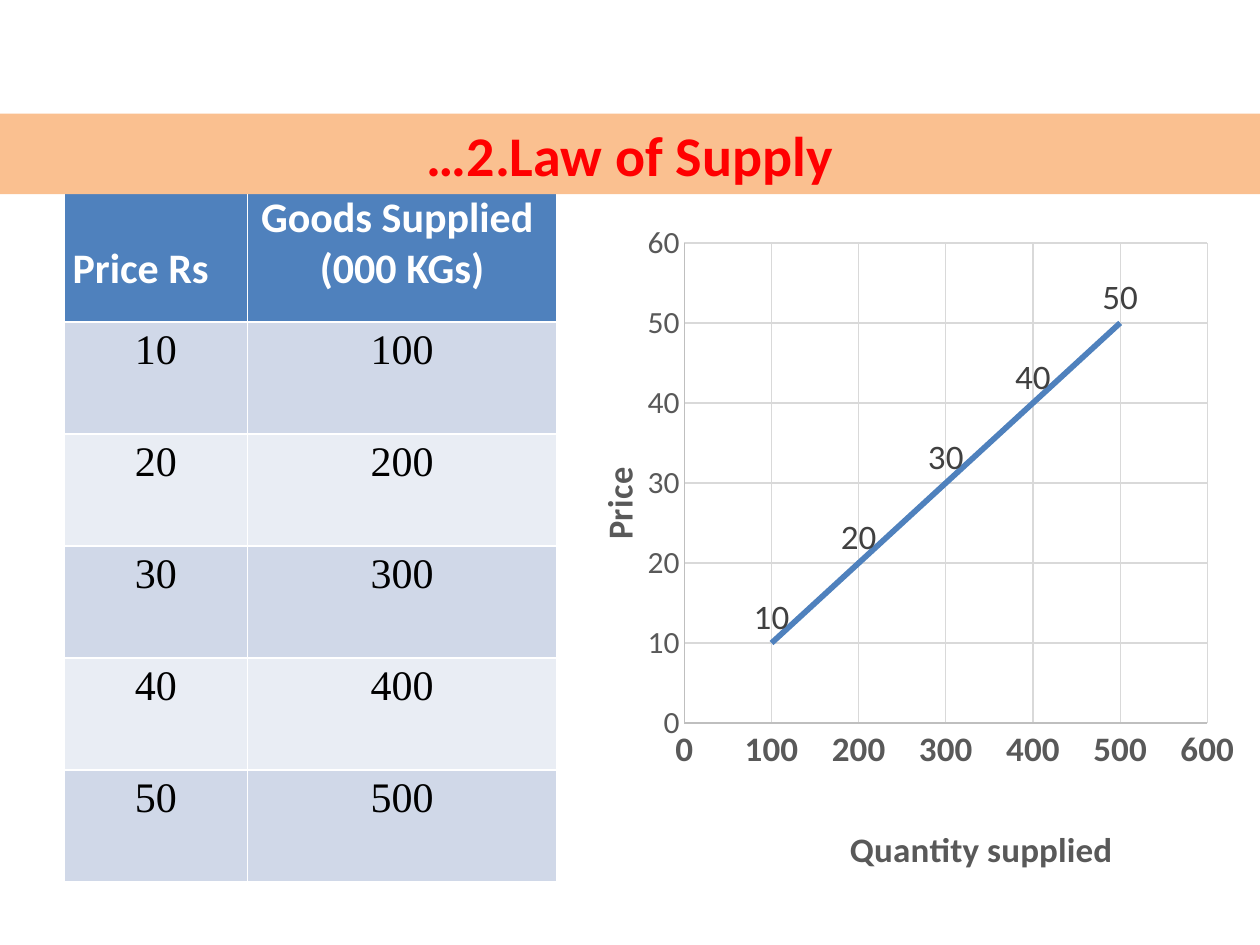
from lxml import etree
from pptx import Presentation
from pptx.chart.data import XyChartData
from pptx.dml.color import RGBColor
from pptx.enum.chart import XL_CHART_TYPE, XL_LABEL_POSITION, XL_TICK_MARK
from pptx.enum.text import MSO_ANCHOR, MSO_AUTO_SIZE, PP_ALIGN
from pptx.oxml.ns import qn
from pptx.util import Pt

SCATTER = XL_CHART_TYPE.XY_SCATTER_LINES_NO_MARKERS
ABOVE = XL_LABEL_POSITION.ABOVE
NO_TICK = XL_TICK_MARK.NONE
MIDDLE = MSO_ANCHOR.MIDDLE
NO_FIT = MSO_AUTO_SIZE.NONE
LEFT, CENTER = PP_ALIGN.LEFT, PP_ALIGN.CENTER

WHITE = RGBColor(0xFF, 0xFF, 0xFF)
BLACK = RGBColor(0x00, 0x00, 0x00)
RED = RGBColor(0xFF, 0x00, 0x00)
PEACH = RGBColor(0xFA, 0xC0, 0x90)
BLUE = RGBColor(0x4F, 0x81, 0xBD)
BANDS = (RGBColor(0xD0, 0xD8, 0xE8), RGBColor(0xE9, 0xED, 0xF4))
AXIS_TEXT = RGBColor(0x59, 0x59, 0x59)
LABEL_TEXT = RGBColor(0x40, 0x40, 0x40)
AXIS_LINE = RGBColor(0xBF, 0xBF, 0xBF)
GRID_LINE = RGBColor(0xD9, 0xD9, 0xD9)

PRICES = (10, 20, 30, 40, 50)
QUANTITIES = (100, 200, 300, 400, 500)


def style_font(font, size, color, bold=False, name="Calibri"):
    font.name = name
    font.size = Pt(size)
    font.bold = bold
    font.color.rgb = color


def style_line(line, color, width):
    line.color.rgb = color
    line.width = Pt(width)


def add_title(s, x, y, w, h):
    title = s.shapes.title
    title.left, title.top, title.width, title.height = Pt(x), Pt(y), Pt(w), Pt(h)
    title.fill.solid()
    title.fill.fore_color.rgb = PEACH
    tf = title.text_frame
    tf.text = "…2.Law of Supply"
    tf.auto_size = NO_FIT
    tf.vertical_anchor = MIDDLE
    p = tf.paragraphs[0]
    p.alignment = CENTER
    style_font(p.runs[0].font, 32, RED, True)
    tree = title.element.getparent()
    tree.append(title.element)


def fill_cell(cell, text, fill, align, **font):
    cell.fill.solid()
    cell.fill.fore_color.rgb = fill
    cell.margin_left = cell.margin_right = Pt(5)
    cell.margin_top = cell.margin_bottom = Pt(3)
    cell.text_frame.text = text
    for p in cell.text_frame.paragraphs:
        p.alignment = align
        for r in p.runs:
            style_font(r.font, 24, **font)


def add_supply_table(s, x, y, w, h):
    header_h, price_w = 77, 105
    row_h = (h - header_h) / len(PRICES)
    table = s.shapes.add_table(len(PRICES) + 1, 2, Pt(x), Pt(y), Pt(w), Pt(h)).table
    table.columns[0].width = Pt(price_w)
    table.columns[1].width = Pt(w - price_w)
    table.rows[0].height = Pt(header_h)
    headers = (("Price Rs", LEFT), ("Goods Supplied \n(000 KGs)", CENTER))
    for col, (text, align) in enumerate(headers):
        fill_cell(table.cell(0, col), text, BLUE, align, color=WHITE, bold=True)
    table.cell(0, 0).margin_top = Pt(32)
    for i, pair in enumerate(zip(PRICES, QUANTITIES)):
        table.rows[i + 1].height = Pt(row_h)
        for col, value in enumerate(pair):
            fill_cell(table.cell(i + 1, col), str(value), BANDS[i % 2], CENTER,
                      color=BLACK, name="Times New Roman")


def set_layout(parent, **values):
    old = parent.find(qn("c:layout"))
    if old is not None:
        parent.remove(old)
    layout = etree.Element(qn("c:layout"))
    manual = etree.SubElement(layout, qn("c:manualLayout"))
    for tag, value in values.items():
        etree.SubElement(manual, qn("c:" + tag)).set("val", str(value))
    parent.insert(0 if parent.find(qn("c:tx")) is None else 1, layout)


def style_axis(axis, title, top, step, size, bold, x, y):
    axis.minimum_scale, axis.maximum_scale, axis.major_unit = 0, top, step
    axis.major_tick_mark = axis.minor_tick_mark = NO_TICK
    axis.has_major_gridlines = True
    style_line(axis.major_gridlines.format.line, GRID_LINE, 0.75)
    style_line(axis.format.line, AXIS_LINE, 0.75)
    style_font(axis.tick_labels.font, size, AXIS_TEXT, bold)
    tf = axis.axis_title.text_frame
    tf.text = title
    style_font(tf.paragraphs[0].runs[0].font, 20, AXIS_TEXT, True)
    set_layout(axis.axis_title.element, xMode="edge", yMode="edge", x=x, y=y)


def add_supply_chart(s, x, y, w, h):
    data = XyChartData()
    points = data.add_series("Series 1")
    for quantity, price in zip(QUANTITIES, PRICES):
        points.add_data_point(quantity, price)
    chart = s.shapes.add_chart(SCATTER, Pt(x), Pt(y), Pt(w), Pt(h), data).chart
    style_font(chart.font, 10, BLACK)
    chart.has_title = chart.has_legend = False
    chart.plots[0].vary_by_categories = False
    set_layout(chart.element.find(".//" + qn("c:plotArea")), layoutTarget="inner",
               xMode="edge", yMode="edge", x=0.206, y=0.106, w=0.736, h=0.687)
    style_axis(chart.category_axis, "Quantity supplied", 600, 100, 20, True, 0.43, 0.93)
    style_axis(chart.value_axis, "Price", 60, 10, 18, False, 0.07, 0.42)
    series = chart.plots[0].series[0]
    series.smooth = False
    style_line(series.format.line, BLUE, 3.25)
    for i in range(len(PRICES)):
        label = series.points[i].data_label
        style_font(label.font, 20, LABEL_TEXT)
        label.position = ABOVE


def main():
    prs = Presentation()
    prs.slide_width, prs.slide_height = Pt(720), Pt(540)
    s = prs.slides.add_slide(prs.slide_layouts[5])
    add_supply_table(s, 36.5, 107, 281.5, 397)
    add_supply_chart(s, 307.5, 96.5, 406, 407.5)
    add_title(s, 0, 65, 720, 46)
    prs.save("out.pptx")


if __name__ == "__main__":
    main()
